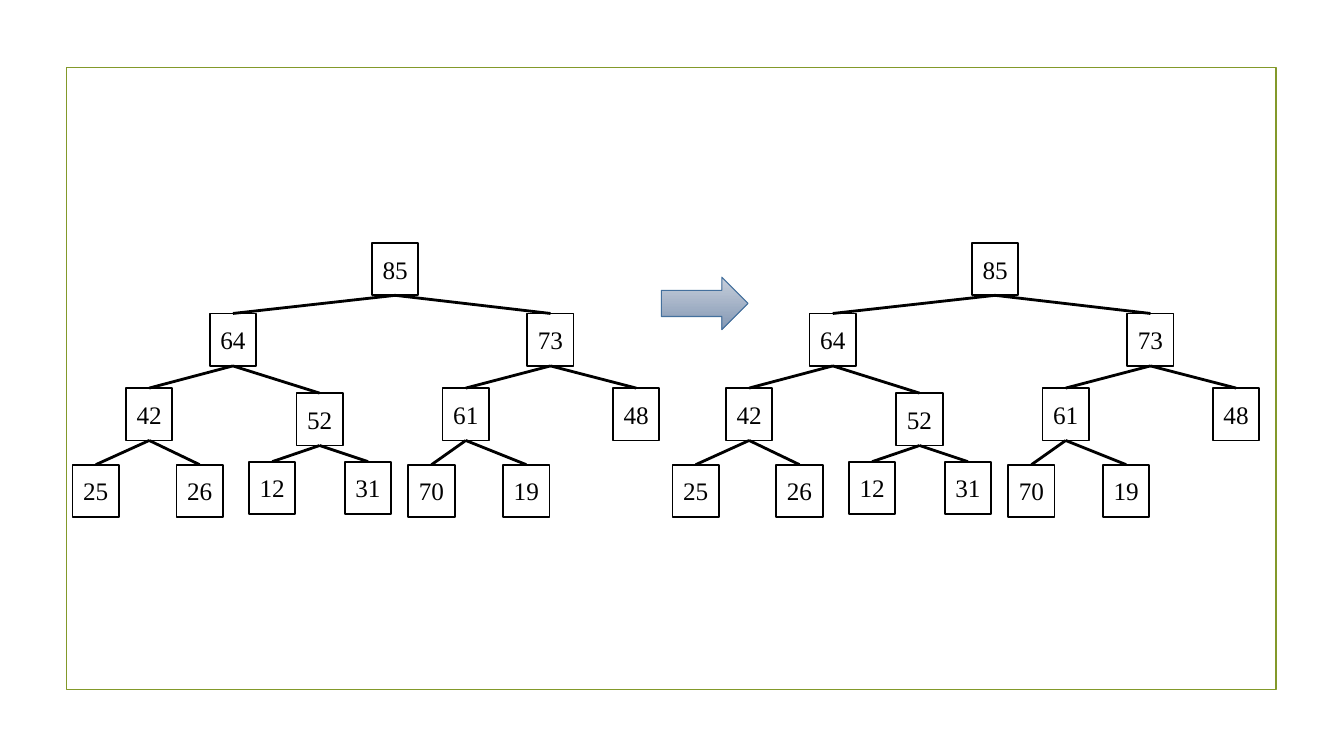
from lxml.etree import SubElement
from pptx import Presentation
from pptx.dml.color import RGBColor
from pptx.enum.shapes import MSO_CONNECTOR as CONNECTOR, MSO_SHAPE as SHAPE
from pptx.enum.text import MSO_ANCHOR as ANCHOR, PP_ALIGN as ALIGN
from pptx.oxml.ns import qn
from pptx.util import Inches, Pt

HEAP = [
    ("85", 3.69, 2.41),
    ("64", 2.08, 3.11), ("73", 5.23, 3.11),
    ("42", 1.25, 3.85), ("52", 2.94, 3.9), ("61", 4.39, 3.85), ("48", 6.08, 3.85),
    ("25", 0.72, 4.61), ("26", 1.75, 4.61), ("12", 2.47, 4.58), ("31", 3.42, 4.58),
    ("70", 4.05, 4.61), ("19", 4.99, 4.61),
]
HEAP_SHIFTS = [0, 5.95]
NODE_SIZE = (0.46, 0.52)
FRAME = (0.66, 0.67, 12, 6.17)
ARROW = (6.56, 2.75, 0.86, 0.52)
ARROW_GRADIENT = ["C7CFDB", "8498B4"]
NODE_FONT = {"name": "Times New Roman", "size": Pt(18)}
NODE_FRAME = {
    "margin_left": 0, "margin_right": 0, "margin_top": 0, "margin_bottom": 0,
    "vertical_anchor": ANCHOR.MIDDLE, "word_wrap": False,
}


def color(hex_value):
    return RGBColor.from_string(hex_value)


def apply(target, values):
    for name, value in values.items():
        setattr(target, name, value)


def set_line(shape, hex_value, width):
    shape.line.color.rgb = color(hex_value)
    shape.line.width = Pt(width)


def add_box(slide, kind, box, line_color, line_width):
    shape = slide.shapes.add_shape(kind, *map(Inches, box))
    shape.shadow.inherit = False
    set_line(shape, line_color, line_width)
    return shape


def add_node(slide, label, left, top):
    node = add_box(slide, SHAPE.RECTANGLE, (left, top, *NODE_SIZE), "000000", 1.25)
    node.fill.solid()
    node.fill.fore_color.rgb = color("FFFFFF")
    apply(node.text_frame, NODE_FRAME)
    paragraph = node.text_frame.paragraphs[0]
    paragraph.alignment = ALIGN.CENTER
    run = paragraph.add_run()
    run.text = label
    apply(run.font, NODE_FONT)
    run.font.color.rgb = color("000000")
    return node


def add_edge(slide, child, parent):
    edge = slide.shapes.add_connector(CONNECTOR.STRAIGHT, 0, 0, 0, 0)
    edge.begin_connect(child, 0)
    edge.end_connect(parent, 2)
    set_line(edge, "000000", 2)
    SubElement(edge._element.spPr, qn("a:effectLst"))


def add_heap(slide, shift):
    nodes = [add_node(slide, label, left + shift, top) for label, left, top in HEAP]
    for index in range(1, len(nodes)):
        add_edge(slide, nodes[index], nodes[(index - 1) // 2])


def main():
    presentation = Presentation()
    presentation.slide_width = Inches(13.33)
    presentation.slide_height = Inches(7.5)
    slide = presentation.slides.add_slide(presentation.slide_layouts[6])

    frame = add_box(slide, SHAPE.RECTANGLE, FRAME, "83992A", 1.25)
    frame.fill.background()

    for shift in HEAP_SHIFTS:
        add_heap(slide, shift)

    arrow = add_box(slide, SHAPE.RIGHT_ARROW, ARROW, "44709D", 0.75)
    arrow.fill.gradient()
    arrow.fill.gradient_angle = 270
    for stop, hex_value in zip(arrow.fill.gradient_stops, ARROW_GRADIENT):
        stop.color.rgb = color(hex_value)

    presentation.save("out.pptx")


if __name__ == "__main__":
    main()
